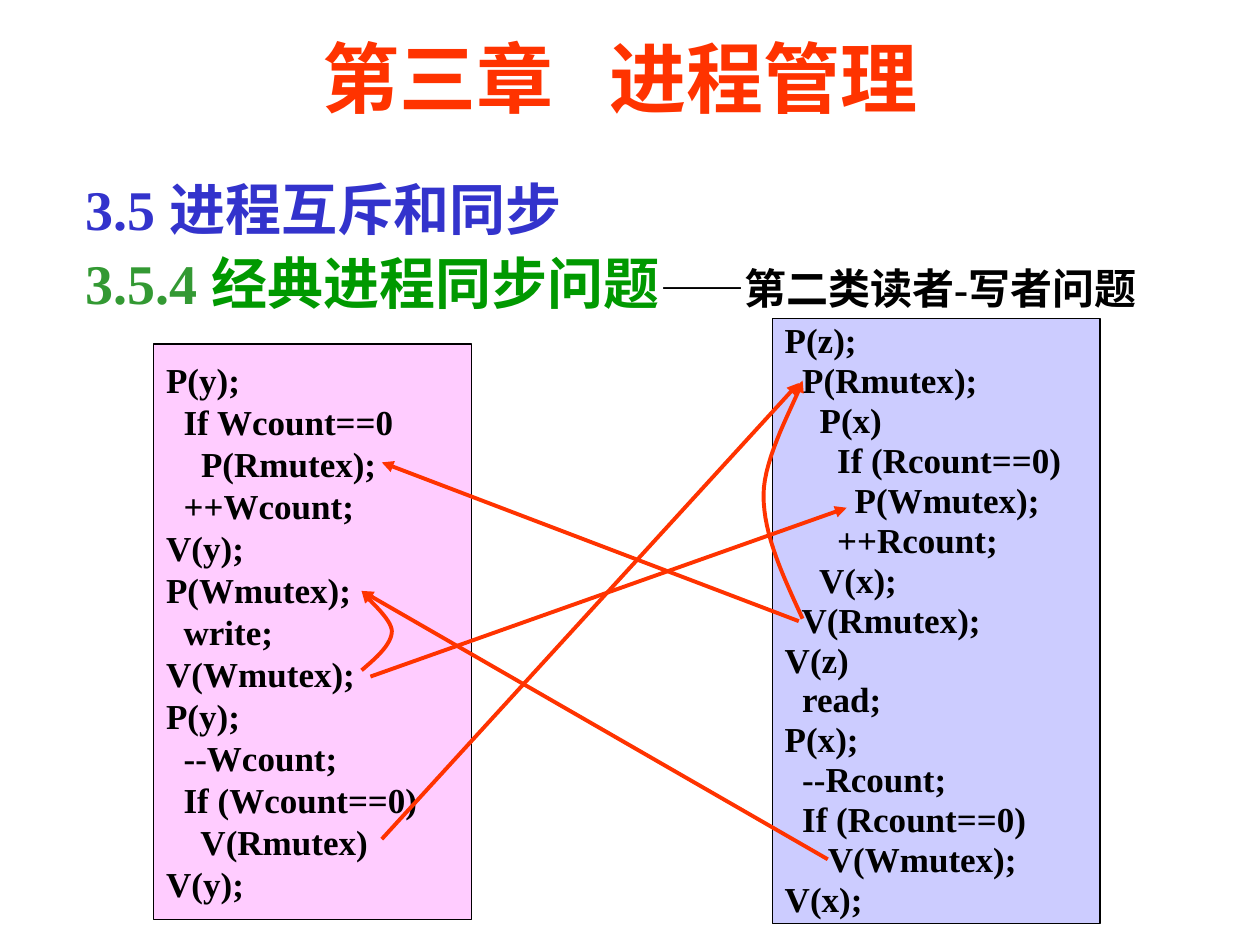
from dataclasses import dataclass

from lxml import etree
from pptx import Presentation
from pptx import util as u
from pptx.dml.color import RGBColor
from pptx.enum import shapes, text
from pptx.oxml import ns

PX = 9144  # EMU per px, 100 px to the inch
FONT = "Times New Roman"
ARROW_WIDTH = u.Pt(2.25)
CURVE_STEPS = 16

BLACK = RGBColor(0x00, 0x00, 0x00)
ORANGE = RGBColor(0xFF, 0x33, 0x00)
BLUE = RGBColor(0x33, 0x33, 0xCC)
SOFT_GREEN = RGBColor(0x33, 0x99, 0x33)
GREEN = RGBColor(0x00, 0x99, 0x00)
PINK = RGBColor(0xFF, 0xCC, 0xFF)
LAVENDER = RGBColor(0xCC, 0xCC, 0xFF)

Point = tuple[int, int]


@dataclass
class CodeBox:
    left: int
    top: int
    width: int
    height: int
    fill: RGBColor
    line_spacing: float
    code: str


@dataclass
class Arrow:
    start: Point
    end: Point


@dataclass
class CurvedArrow:
    points: list[Point]  # start, then two controls and an end per Bezier piece


WRITER = CodeBox(122, 273, 252, 457, PINK, 1.0, """P(y);
  If Wcount==0
    P(Rmutex);
  ++Wcount;
V(y);
P(Wmutex);
  write;
V(Wmutex);
P(y);
  --Wcount;
  If (Wcount==0)
    V(Rmutex)
V(y);""")

READER = CodeBox(613, 253, 260, 480, LAVENDER, 0.95, """P(z);
  P(Rmutex);
    P(x)
      If (Rcount==0)
        P(Wmutex);
      ++Rcount;
    V(x);
  V(Rmutex);
V(z)
  read;
P(x);
  --Rcount;
  If (Rcount==0)
     V(Wmutex);
V(x);""")

ARROWS = [
    Arrow((303, 666), (634, 304)),
    Arrow((657, 682), (287, 469)),
    Arrow((634, 493), (303, 367)),
    Arrow((294, 537), (672, 403)),
]
CURVED_ARROWS = [
    CurvedArrow([(287, 532), (299, 522), (311, 511), (311, 501),
                 (311, 491), (291, 475), (287, 469)]),
    CurvedArrow([(637, 491), (622, 458), (606, 425), (606, 393),
                 (606, 362), (632, 318), (637, 302)]),
]


def px(*lengths: int) -> list[int]:
    return [length * PX for length in lengths]


def add_text(paragraph, content: str, *, size: int, color: RGBColor, spacing: int = 0):
    """Add a bold run; spacing is extra letter spacing in points."""
    run = paragraph.add_run()
    run.text = content
    run.font.name = FONT
    run.font.size = u.Pt(size)
    run.font.bold = True
    run.font.color.rgb = color
    if spacing:
        run.font._element.set("spc", str(spacing * 100))


def add_code_box(slide, box: CodeBox) -> None:
    shape = slide.shapes.add_shape(
        shapes.MSO_SHAPE.RECTANGLE, *px(box.left, box.top, box.width, box.height))
    shape.shadow.inherit = False
    shape.fill.solid()
    shape.fill.fore_color.rgb = box.fill
    shape.line.color.rgb = BLACK
    shape.line.width = u.Pt(0.75)
    frame = shape.text_frame
    frame.word_wrap = False
    frame.vertical_anchor = text.MSO_ANCHOR.MIDDLE
    for index, line in enumerate(box.code.splitlines()):
        paragraph = frame.paragraphs[0] if index == 0 else frame.add_paragraph()
        paragraph.alignment = text.PP_ALIGN.LEFT
        paragraph.line_spacing = box.line_spacing
        add_text(paragraph, line, size=20, color=BLACK)


def style_arrow(shape) -> None:
    shape.line.color.rgb = ORANGE
    shape.line.width = ARROW_WIDTH
    etree.SubElement(shape.line._get_or_add_ln(), ns.qn("a:tailEnd"), type="triangle")


def add_arrow(slide, arrow: Arrow) -> None:
    connector = slide.shapes.add_connector(
        shapes.MSO_CONNECTOR.STRAIGHT, *px(*arrow.start, *arrow.end))
    style_arrow(connector)
    etree.SubElement(connector._element.spPr, ns.qn("a:effectLst"))


def bezier_point(a: Point, b: Point, c: Point, d: Point, t: float) -> tuple[float, ...]:
    s = 1 - t
    return tuple(
        (s**3 * p + 3 * s * s * t * q + 3 * s * t * t * r + t**3 * e) * PX
        for p, q, r, e in zip(a, b, c, d))


def add_curved_arrow(slide, curve: CurvedArrow) -> None:
    points = curve.points
    outline = [
        bezier_point(*points[first:first + 4], step / CURVE_STEPS)
        for first in range(0, len(points) - 1, 3)
        for step in range(1, CURVE_STEPS + 1)]
    builder = slide.shapes.build_freeform(*px(*points[0]))
    builder.add_line_segments(outline, close=False)
    shape = builder.convert_to_shape()
    shape.shadow.inherit = False
    shape.fill.background()
    style_arrow(shape)


def add_title(slide) -> None:
    title = slide.shapes.title
    title.left, title.top, title.width, title.height = px(117, 7, 750, 108)
    frame = title.text_frame
    frame.vertical_anchor = text.MSO_ANCHOR.MIDDLE
    paragraph = frame.paragraphs[0]
    paragraph.alignment = text.PP_ALIGN.CENTER
    add_text(paragraph, "第三章", size=44, color=ORANGE)
    add_text(paragraph, " ", size=44, color=ORANGE, spacing=22)
    add_text(paragraph, "进程管理", size=44, color=ORANGE)


def add_heading(slide) -> None:
    frame = slide.shapes.add_textbox(*px(58, 128, 883, 127)).text_frame
    frame.word_wrap = True
    frame.auto_size = text.MSO_AUTO_SIZE.SHAPE_TO_FIT_TEXT
    paragraph = frame.paragraphs[0]
    paragraph.line_spacing = 1.1
    add_text(paragraph, "3.5 进程互斥和同步", size=32, color=BLUE)
    paragraph.add_line_break()
    add_text(paragraph, "3.5.4 ", size=32, color=SOFT_GREEN)
    add_text(paragraph, "经典进程同步问题", size=32, color=GREEN)
    add_text(paragraph, "——第二类读者-写者问题", size=24, color=BLACK)


def main() -> None:
    presentation = Presentation()
    presentation.slide_width, presentation.slide_height = px(1000, 750)
    slide = presentation.slides.add_slide(presentation.slide_layouts[5])

    # Headings
    add_title(slide)
    add_heading(slide)

    # Writer and reader code
    for box in (WRITER, READER):
        add_code_box(slide, box)

    # Arrows from each V operation to the P operation it wakes
    for arrow in ARROWS:
        add_arrow(slide, arrow)
    for curve in CURVED_ARROWS:
        add_curved_arrow(slide, curve)

    presentation.save("out.pptx")


if __name__ == "__main__":
    main()
